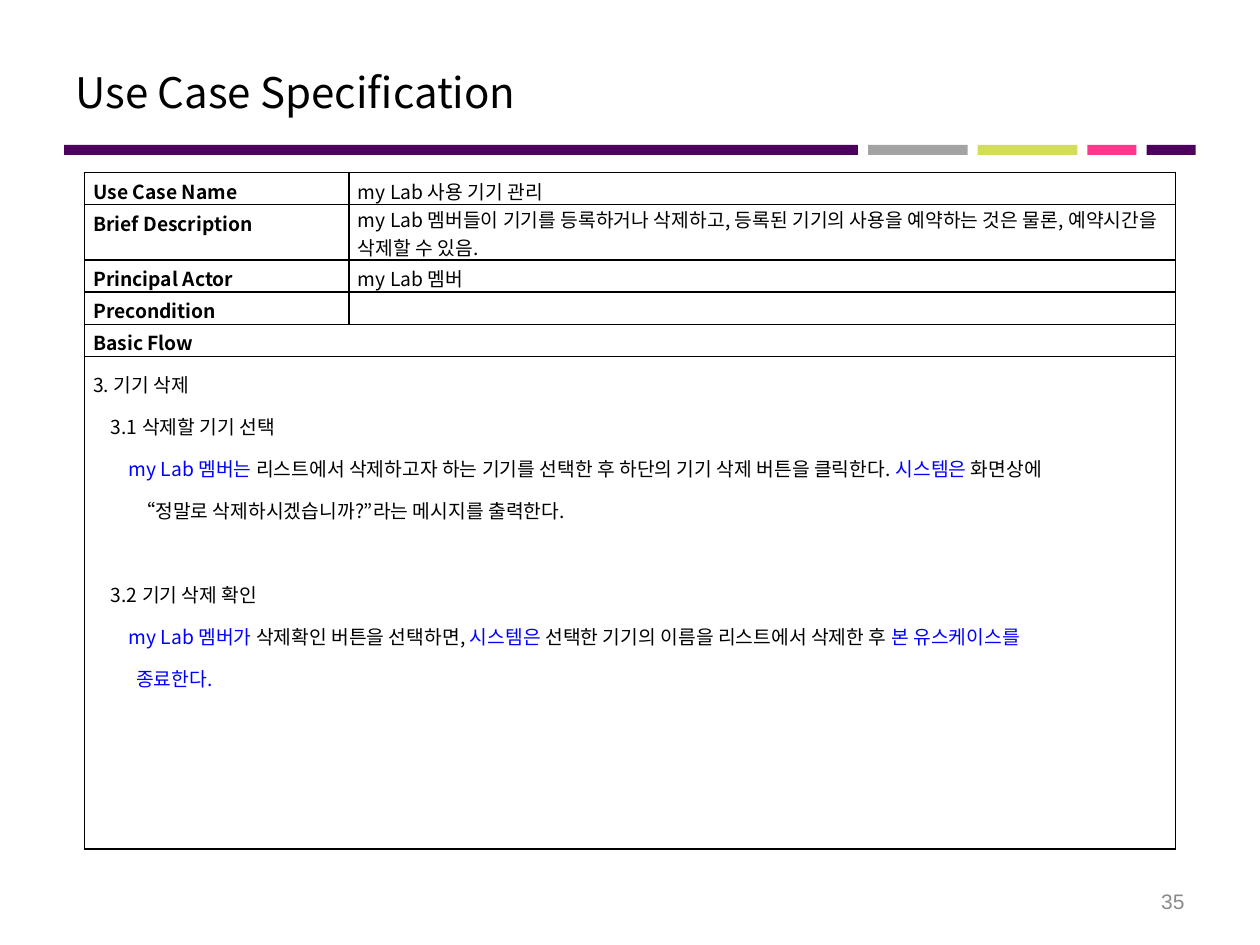
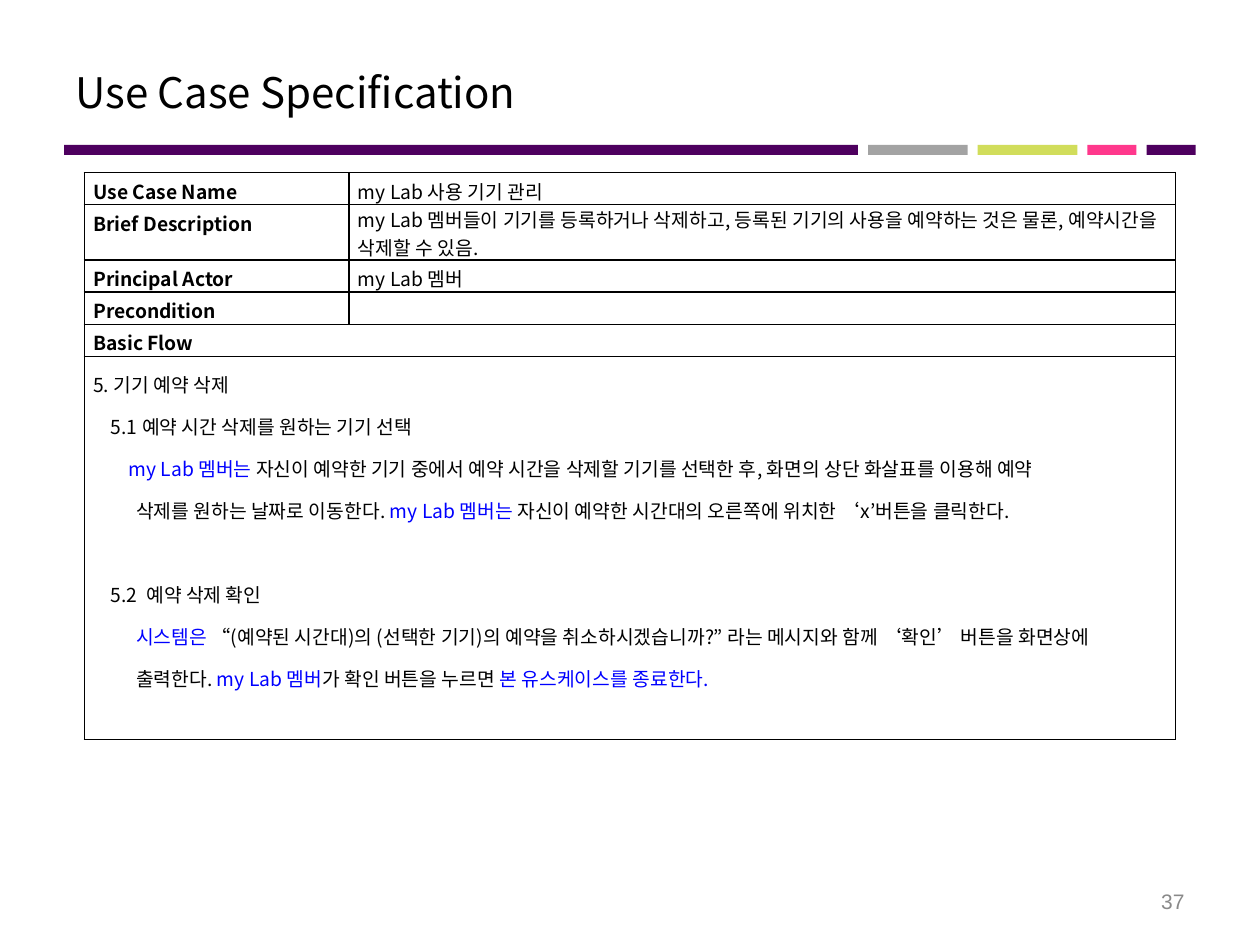
"""Build two use case specification slides with python-pptx."""
from lxml import etree
from pptx import Presentation
from pptx import util as u
from pptx.dml.color import RGBColor
from pptx.enum import shapes, text
from pptx.oxml.ns import qn

PURPLE = RGBColor(0x4E, 0x00, 0x5F)
GRAY = RGBColor(0xA3, 0xA3, 0xA3)
LIME = RGBColor(0xD1, 0xDD, 0x5B)
PINK = RGBColor(0xFF, 0x38, 0x8C)
BLACK = RGBColor(0, 0, 0)
BLUE = RGBColor(0, 0, 0xFF)
FOOTER_GRAY = RGBColor(0x89, 0x89, 0x89)
WHITE = RGBColor(0xFF, 0xFF, 0xFF)

BODY_FONT, FOOTER_FONT = "Noto Sans CJK KR", "Arial"
BODY_SIZE = 11
TITLE = "Use Case Specification"

BANDS = [(6.3, PURPLE), (0.79, GRAY), (0.79, LIME), (0.39, PINK), (0.39, PURPLE)]
BAND_LEFT, BAND_TOP, BAND_HEIGHT, BAND_GAP = 0.51, 1.15, 0.08, 0.08

SUMMARY = [
    ("Use Case Name", "my Lab 사용 기기 관리"),
    ("Brief Description", "my Lab 멤버들이 기기를 등록하거나 삭제하고, 등록된 기기의 사용을 "
                          "예약하는 것은 물론, 예약시간을 삭제할 수 있음."),
    ("Principal Actor", "my Lab 멤버"),
    ("Precondition", ""),
    ("Basic Flow", None),
]
TABLE_LEFT, TABLE_TOP = 0.67, 1.37
COLUMNS = (2.1, 6.56)
LINE_ROW, DESCRIPTION_ROW = 0.255, 0.44

INDENTS = {"flow": 0, "step": 0.14, "actor": 0.28, "detail": 0.34}
STEP_GAP = 24

PAGES = [
    {"number": "35", "flow_height": 3.91, "flow": [
        ("flow", [("3. 기기 삭제", BLACK)]),
        ("step", [("3.1 삭제할 기기 선택", BLACK)]),
        ("actor", [("my Lab 멤버는 ", BLUE),
                   ("리스트에서 삭제하고자 하는 기기를 선택한 후 하단의 기기 삭제 버튼을 클릭한다. ", BLACK),
                   ("시스템은", BLUE), (" 화면상에", BLACK)]),
        ("detail", [("“정말로 삭제하시겠습니까?”라는 메시지를 출력한다.", BLACK)]),
        ("step", [("3.2 기기 삭제 확인", BLACK)]),
        ("actor", [("my Lab 멤버가 ", BLUE), ("삭제확인 버튼을 선택하면, ", BLACK),
                   ("시스템은", BLUE),
                   (" 선택한 기기의 이름을 리스트에서 삭제한 후 ", BLACK),
                   ("본 유스케이스를", BLUE)]),
        ("detail", [("종료한다.", BLUE)]),
    ]},
    {"number": "37", "flow_height": 3.04, "flow": [
        ("flow", [("5. 기기 예약 삭제", BLACK)]),
        ("step", [("5.1 예약 시간 삭제를 원하는 기기 선택", BLACK)]),
        ("actor", [("my Lab 멤버는 ", BLUE),
                   ("자신이 예약한 기기 중에서 예약 시간을 삭제할 기기를 선택한 후, "
                    "화면의 상단 화살표를 이용해 예약", BLACK)]),
        ("detail", [("삭제를 원하는 날짜로 이동한다. ", BLACK), ("my Lab 멤버는", BLUE),
                    (" 자신이 예약한 시간대의 오른쪽에 위치한 ‘x’버튼을 클릭한다.", BLACK)]),
        ("step", [("5.2  예약 삭제 확인", BLACK)]),
        ("detail", [("시스템은 ", BLUE),
                    ("“(예약된 시간대)의 (선택한 기기)의 예약을 취소하시겠습니까?” 라는 "
                     "메시지와 함께 ‘확인’ 버튼을 화면상에", BLACK)]),
        ("detail", [("출력한다. ", BLACK), ("my Lab 멤버", BLUE),
                    ("가 확인 버튼을 누르면 ", BLACK),
                    ("본 유스케이스를 종료한다.", BLUE)]),
    ]},
]


def add_run(paragraph, words, size=BODY_SIZE, color=BLACK, bold=False, font=BODY_FONT):
    run = paragraph.add_run()
    run.text = words
    run.font.size = u.Pt(size)
    run.font.name = font
    run.font.bold = bold
    run.font.color.rgb = color
    etree.SubElement(run.font._element, qn("a:ea"), typeface=font)


def add_label(slide, place, words, align, **style):
    frame = slide.shapes.add_textbox(*map(u.Inches, place)).text_frame
    frame.word_wrap = True
    frame.vertical_anchor = text.MSO_ANCHOR.MIDDLE
    frame.paragraphs[0].alignment = align
    add_run(frame.paragraphs[0], words, **style)


def add_frame(slide, number):
    left = BAND_LEFT
    for width, color in BANDS:
        band = slide.shapes.add_shape(
            shapes.MSO_SHAPE.RECTANGLE,
            *map(u.Inches, (left, BAND_TOP, width, BAND_HEIGHT)))
        band.shadow.inherit = False
        band.fill.solid()
        band.fill.fore_color.rgb = color
        band.line.fill.background()
        left += width + BAND_GAP
    add_label(slide, (0.5, 0.3, 9, 0.85), TITLE, text.PP_ALIGN.LEFT, size=24)
    add_label(slide, (7.17, 6.95, 2.33, 0.4), number, text.PP_ALIGN.RIGHT,
              size=12, color=FOOTER_GRAY, font=FOOTER_FONT)


def style_cell(cell):
    cell.margin_left = cell.margin_right = u.Inches(0.07)
    cell.margin_top = cell.margin_bottom = 0
    properties = cell._tc.get_or_add_tcPr()
    for side in ("lnL", "lnR", "lnT", "lnB"):
        border = etree.SubElement(properties, qn(f"a:{side}"), w=str(u.Pt(1)))
        ink = etree.SubElement(border, qn("a:solidFill"))
        etree.SubElement(ink, qn("a:srgbClr"), val=str(BLACK))
    cell.fill.solid()
    cell.fill.fore_color.rgb = WHITE


def fill_summary(table):
    for row, (heading, detail) in enumerate(SUMMARY):
        for column, words in enumerate((heading, detail)):
            if words is None:
                continue
            paragraph = table.cell(row, column).text_frame.paragraphs[0]
            if not words:
                paragraph._p.get_or_add_endParaRPr().set("sz", str(BODY_SIZE * 100))
                continue
            if words != SUMMARY[1][1]:
                paragraph.alignment = text.PP_ALIGN.JUSTIFY
                paragraph.line_spacing = 1.15
            add_run(paragraph, words, bold=column == 0)


def fill_flow(cell, flow):
    frame = cell.text_frame
    for index, (level, pieces) in enumerate(flow):
        paragraph = frame.add_paragraph() if index else frame.paragraphs[0]
        paragraph.alignment = text.PP_ALIGN.JUSTIFY
        paragraph.line_spacing = 1.5
        paragraph._p.get_or_add_pPr().set("marL", str(u.Inches(INDENTS[level])))
        if level == "step" and index > 1:
            paragraph.space_before = u.Pt(STEP_GAP)
        for words, color in pieces:
            add_run(paragraph, words, color=color)


def add_specification(slide, flow, flow_height):
    heights = [LINE_ROW] * len(SUMMARY) + [flow_height]
    heights[1] = DESCRIPTION_ROW
    table = slide.shapes.add_table(
        len(heights), len(COLUMNS),
        *map(u.Inches, (TABLE_LEFT, TABLE_TOP, sum(COLUMNS), sum(heights)))).table
    table.first_row = table.horz_banding = False
    for column, width in zip(table.columns, COLUMNS):
        column.width = u.Inches(width)
    for row, height in zip(table.rows, heights):
        row.height = u.Inches(height)
        for cell in row.cells:
            style_cell(cell)
    for row in (len(SUMMARY) - 1, len(SUMMARY)):
        table.cell(row, 0).merge(table.cell(row, 1))
    fill_summary(table)
    fill_flow(table.cell(len(SUMMARY), 0), flow)


def main():
    deck = Presentation()
    deck.slide_width, deck.slide_height = u.Inches(10), u.Inches(7.5)
    for page in PAGES:
        slide = deck.slides.add_slide(deck.slide_layouts[6])
        add_frame(slide, page["number"])
        add_specification(slide, page["flow"], page["flow_height"])
    deck.save("out.pptx")


if __name__ == "__main__":
    main()
